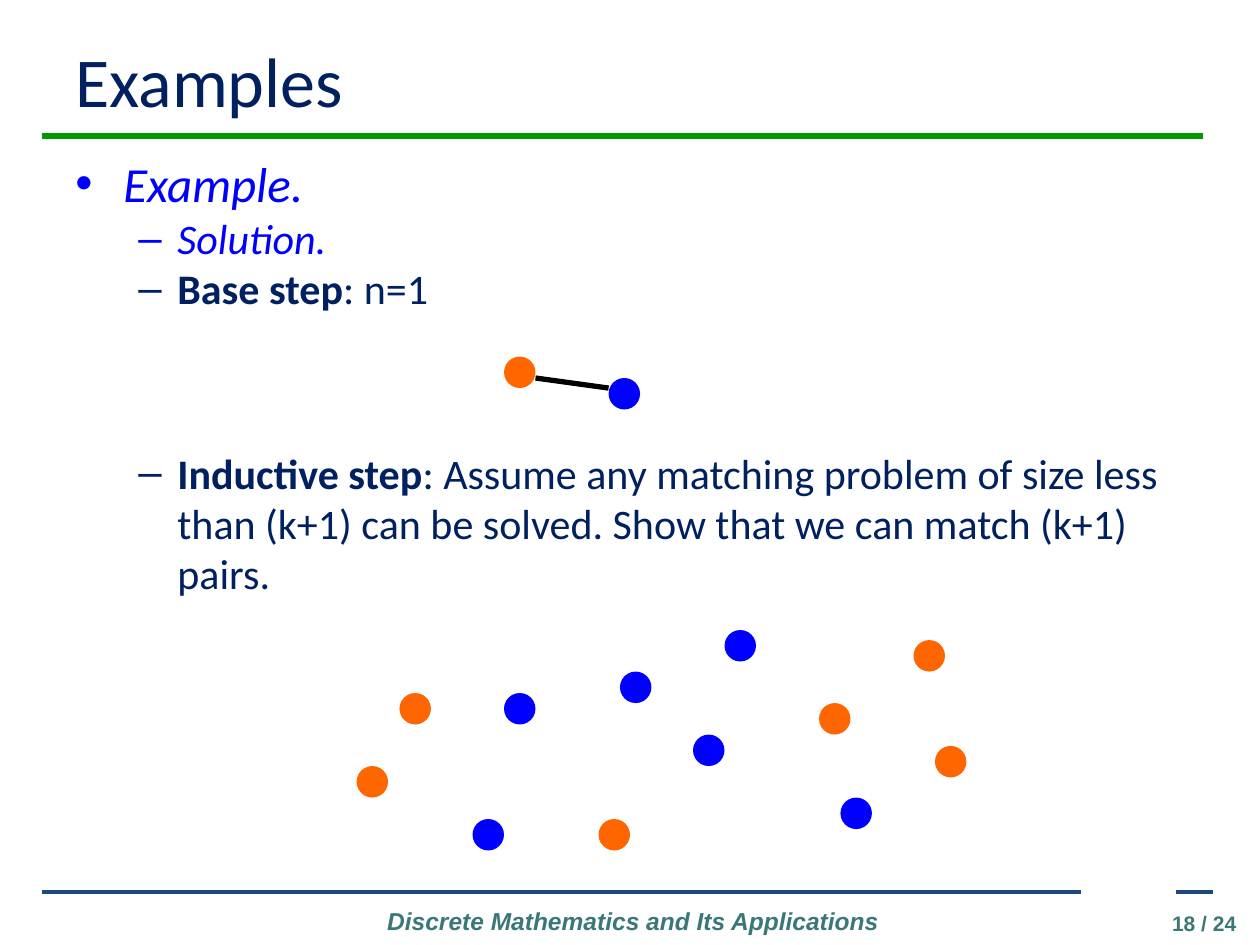
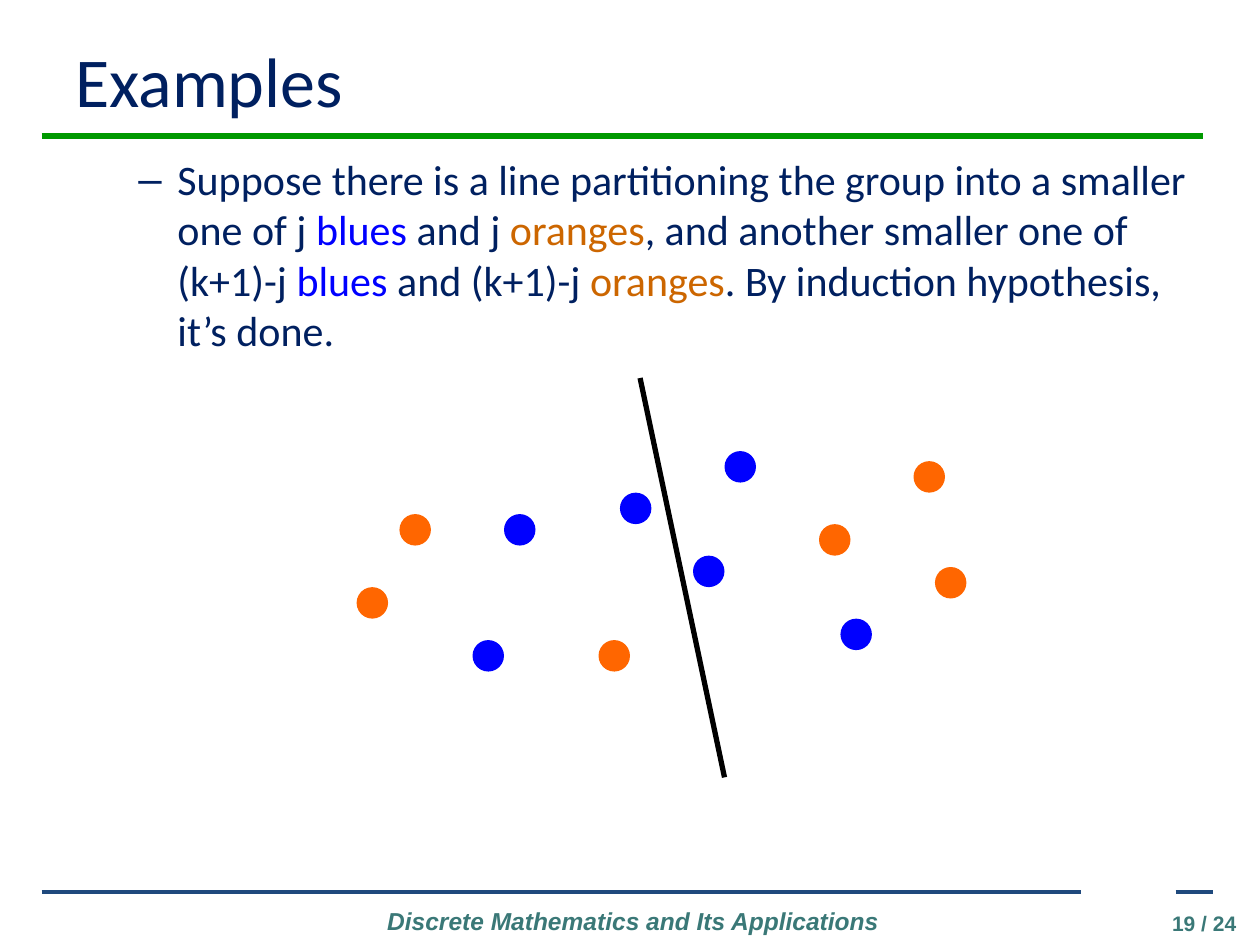
"""Build two slides on matching blue and orange points by induction."""
from dataclasses import dataclass
from typing import NamedTuple

import pptx
import pptx.dml.color
import pptx.enum.shapes
import pptx.enum.text
import pptx.oxml
import pptx.oxml.ns
import pptx.util
from pptx.util import Inches

ALIGN = pptx.enum.text.PP_ALIGN
ANCHOR = pptx.enum.text.MSO_ANCHOR


@dataclass(frozen=True)
class Theme:
    navy: str = "002060"
    blue: str = "0000FF"
    dot: str = "FF6600"
    word: str = "CC6600"
    green: str = "009900"
    rule: str = "1F497D"
    teal: str = "3A7877"
    black: str = "000000"
    body: str = "Calibri"
    foot: str = "Arial"
    title: float = 40
    head: float = 28
    text: float = 24
    note: float = 14
    page: float = 12
    thick: float = 3
    thin: float = 2.25


THEME = Theme()


class Run(NamedTuple):
    text: str
    color: str = THEME.navy
    size: float = THEME.text
    bold: bool = False
    italic: bool = False
    font: str = THEME.body


class Bullet(NamedTuple):
    mark: str
    level: int
    left: float
    hang: float


class Para(NamedTuple):
    runs: list[Run]
    bullet: Bullet | None = None
    align: ALIGN = ALIGN.LEFT


class Box(NamedTuple):
    left: float
    top: float
    width: float
    height: float
    paras: list[Para]
    anchor: ANCHOR = ANCHOR.TOP


class Line(NamedTuple):
    x1: float
    y1: float
    x2: float
    y2: float
    color: str = THEME.black
    width: float = THEME.thick


class Dot(NamedTuple):
    left: float
    top: float
    color: str


TOP = Bullet("•", 0, 0.38, 0.38)
SUB = Bullet("–", 1, 0.81, 0.31)
SIZE = 0.25

RULES = [
    Line(0.33, 1.08, 9.55, 1.08, THEME.green),
    Line(0.33, 7.08, 8.58, 7.08, THEME.rule, THEME.thin),
    Line(9.33, 7.08, 9.63, 7.08, THEME.rule, THEME.thin),
]
PAIR = [Dot(4.83, 3, THEME.blue), Dot(4, 2.83, THEME.dot)]
ORANGES = [(2.83, 6.08), (6.5, 5.58), (7.25, 5.08),
           (7.42, 5.92), (4.75, 6.5), (3.17, 5.5)]
BLUES = [(3.75, 6.5), (6.67, 6.33), (4.92, 5.33),
         (5.5, 5.83), (5.75, 5), (4, 5.5)]
GROUP = ([Dot(x, y, THEME.dot) for x, y in ORANGES]
         + [Dot(x, y, THEME.blue) for x, y in BLUES])
RISE = 1.42


def rgb(color: str) -> pptx.dml.color.RGBColor:
    """Turn a hex string into a colour."""
    return pptx.dml.color.RGBColor.from_string(color)


def assign(target, values: dict) -> None:
    """Set each named value on the target."""
    for name, value in values.items():
        setattr(target, name, value)


def add_mark(para, bullet: Bullet, color: str) -> None:
    """Give a paragraph its hanging bullet."""
    para.level = bullet.level
    props = para._p.get_or_add_pPr()
    props.set("marL", str(Inches(bullet.left)))
    props.set("indent", str(-Inches(bullet.hang)))
    space = pptx.oxml.ns.nsdecls("a")
    for xml in (
        f'<a:buClr {space}><a:srgbClr val="{color}"/></a:buClr>',
        f'<a:buFont {space} typeface="{THEME.foot}"/>',
        f'<a:buChar {space} char="{bullet.mark}"/>',
    ):
        props.append(pptx.oxml.parse_xml(xml))


def add_box(slide, box: Box) -> None:
    """Draw a text box with its paragraphs."""
    shape = slide.shapes.add_textbox(
        Inches(box.left), Inches(box.top), Inches(box.width), Inches(box.height))
    frame = shape.text_frame
    assign(frame, {"word_wrap": True, "vertical_anchor": box.anchor})
    for i, item in enumerate(box.paras):
        para = frame.add_paragraph() if i else frame.paragraphs[0]
        para.alignment = item.align
        if item.bullet:
            add_mark(para, item.bullet, item.runs[0].color)
        for piece in item.runs:
            run = para.add_run()
            run.text = piece.text
            assign(run.font, {
                "name": piece.font, "size": pptx.util.Pt(piece.size),
                "bold": piece.bold, "italic": piece.italic})
            run.font.color.rgb = rgb(piece.color)


def add_line(slide, line: Line) -> None:
    """Draw a straight line without a shadow."""
    shape = slide.shapes.add_connector(
        pptx.enum.shapes.MSO_CONNECTOR.STRAIGHT,
        Inches(line.x1), Inches(line.y1), Inches(line.x2), Inches(line.y2))
    shape.line.color.rgb = rgb(line.color)
    shape.line.width = pptx.util.Pt(line.width)
    space = pptx.oxml.ns.nsdecls("a")
    shape._element.spPr.append(pptx.oxml.parse_xml(f"<a:effectLst {space}/>"))


def add_dots(slide, dots: list[Dot], rise: float = 0) -> None:
    """Draw a group of points, raised by the given length."""
    group = slide.shapes.add_group_shape()
    for dot in dots:
        shape = group.shapes.add_shape(
            pptx.enum.shapes.MSO_SHAPE.OVAL,
            Inches(dot.left), Inches(dot.top - rise), Inches(SIZE), Inches(SIZE))
        shape.shadow.inherit = False
        shape.fill.solid()
        shape.fill.fore_color.rgb = rgb(dot.color)
        shape.line.fill.background()


def add_slide(deck, page: int):
    """Add a slide with its title, rules and footer."""
    slide = deck.slides.add_slide(deck.slide_layouts[6])
    for line in RULES:
        add_line(slide, line)
    note = Run("Discrete Mathematics and Its Applications",
               THEME.teal, THEME.note, True, True, THEME.foot)
    count = Run(f"{page} / 24", THEME.teal, THEME.page, True, False, THEME.foot)
    title = Run("Examples", size=THEME.title)
    add_box(slide, Box(2.83, 7.14, 4.39, 0.34, [Para([note], align=ALIGN.CENTER)]))
    add_box(slide, Box(8.89, 7.18, 1.02, 0.24, [Para([count], align=ALIGN.RIGHT)]))
    add_box(slide, Box(0.5, 0.25, 9, 0.77, [Para([title])], ANCHOR.MIDDLE))
    return slide


def add_steps(deck) -> None:
    """Show the base step and the inductive step."""
    slide = add_slide(deck, 18)
    add_box(slide, Box(0.5, 1.17, 9.08, 1.37, [
        Para([Run("Example.", THEME.blue, THEME.head, italic=True)], TOP),
        Para([Run("Solution.", THEME.blue, italic=True)], SUB),
        Para([Run("Base step", bold=True), Run(": n=1")], SUB),
    ]))
    add_dots(slide, PAIR)
    add_line(slide, Line(4.25, 3, 4.83, 3.08))
    add_box(slide, Box(0.5, 3.5, 9.08, 1.3, [Para([
        Run("Inductive step", bold=True),
        Run(": Assume any matching problem of size less than (k+1) can be "
            "solved. Show that we can match (k+1) pairs."),
    ], SUB)]))
    add_dots(slide, GROUP)


def add_split(deck) -> None:
    """Show the line that splits the group in two."""
    slide = add_slide(deck, 19)
    blues = Run("blues", THEME.blue)
    oranges = Run("oranges", THEME.word)
    add_box(slide, Box(0.5, 1.17, 9.08, 1.7, [Para([
        Run("Suppose there is a line partitioning the group into a smaller "
            "one of j "),
        blues, Run(" and j "), oranges,
        Run(", and another smaller one of (k+1)-j "),
        blues, Run(" and (k+1)-j "), oranges,
        Run(". By induction hypothesis, it’s done."),
    ], SUB)]))
    add_line(slide, Line(5.08, 3, 5.75, 6.17))
    add_dots(slide, GROUP, RISE)


def main() -> None:
    """Build and save the deck."""
    deck = pptx.Presentation()
    assign(deck, {"slide_width": Inches(10), "slide_height": Inches(7.5)})
    add_steps(deck)
    add_split(deck)
    deck.save("out.pptx")


if __name__ == "__main__":
    main()
